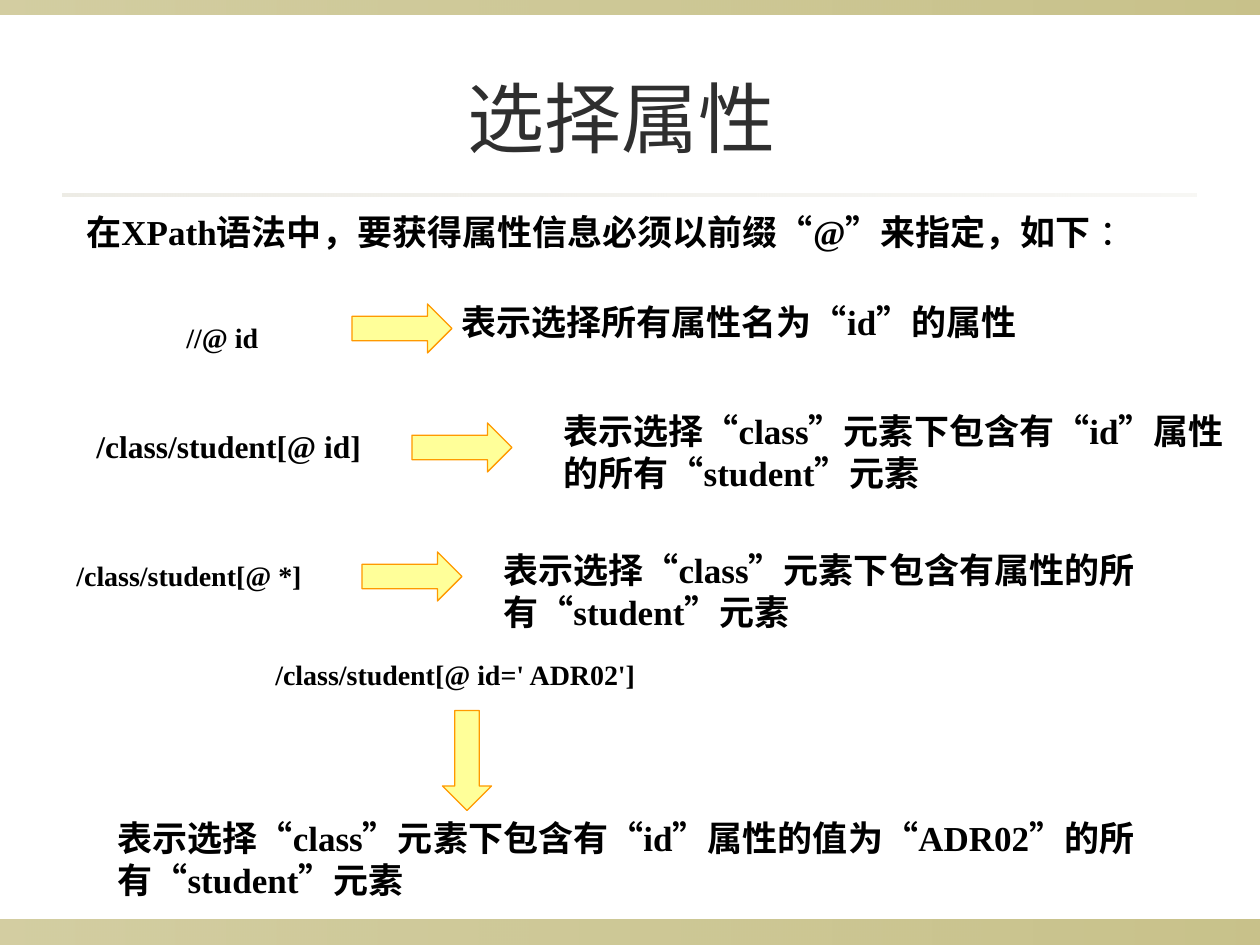
from dataclasses import dataclass

from lxml.etree import SubElement
from pptx import Presentation
from pptx.dml.color import RGBColor
from pptx.enum.lang import MSO_LANGUAGE_ID
from pptx.enum.shapes import MSO_SHAPE
from pptx.enum.text import MSO_ANCHOR, MSO_AUTO_SIZE, PP_ALIGN
from pptx.oxml.ns import qn
from pptx.util import Emu, Pt


@dataclass(frozen=True)
class Theme:
    title: str = "2F2F2F"
    text: str = "000000"
    band: str = "918415"
    rule: str = "DCD9CC"
    arrow_fill: str = "FFFF99"
    arrow_line: str = "FF9900"
    title_font: str = "Roboto"
    text_font: str = "Times New Roman"
    title_size: int = 44
    body_size: int = 20
    code_size: int = 18
    small_code_size: int = 16


@dataclass(frozen=True)
class Band:
    box: tuple[int, int, int, int]
    color: str
    opacity: tuple[int, int]


@dataclass(frozen=True)
class Label:
    text: str
    box: tuple[int, int, int, int]
    size: int
    wrap: bool = True
    light_tail: str = ""


@dataclass(frozen=True)
class Arrow:
    x: int
    y: int
    rotation: int = 0


THEME = Theme()
ARROW_SIZE = (100, 49)

BANDS = [
    Band((0, 920, 1260, 25), THEME.band, (40, 50)),
    Band((0, 0, 1260, 15), THEME.band, (40, 50)),
    Band((63, 194, 1134, 3), THEME.rule, (50, 20)),
]

LABELS = [
    Label("在XPath语法中，要获得属性信息必须以前缀“@”来指定，如下",
          (74, 204, 1160, 55), THEME.body_size, light_tail=" ："),
    Label("//@ id", (174, 314, 97, 47), THEME.small_code_size, wrap=False),
    Label("表示选择所有属性名为“id”的属性", (449, 294, 601, 55), THEME.body_size, wrap=False),
    Label("/class/student[@ id]", (84, 421, 297, 50), THEME.code_size),
    Label("表示选择“class”元素下包含有“id”属性的所有“student”元素",
          (551, 403, 709, 97), THEME.body_size),
    Label("/class/student[@ *]", (64, 552, 397, 47), THEME.small_code_size),
    Label("表示选择“class”元素下包含有属性的所有“student”元素",
          (491, 542, 769, 97), THEME.body_size),
    Label("/class/student[@ id=' ADR02']", (263, 651, 427, 47), THEME.small_code_size),
    Label("表示选择“class”元素下包含有“id”属性的值为“ADR02”的所有“student”元素",
          (105, 810, 1101, 97), THEME.body_size),
]

ARROWS = [Arrow(352, 304), Arrow(412, 423), Arrow(362, 552), Arrow(417, 736, rotation=90)]


def px(n: int) -> Emu:
    return Emu(round(n * 914400 / 126))


def place(box: tuple[int, int, int, int]) -> list[Emu]:
    return [px(n) for n in box]


def add_run(p, text: str, font: str, size: int, color: str, bold: bool) -> None:
    r = p.add_run()
    r.text = text
    r.font.name = font
    r.font.size = Pt(size)
    r.font.bold = bold
    r.font.color.rgb = RGBColor.from_string(color)
    r.font.language_id = MSO_LANGUAGE_ID.SIMPLIFIED_CHINESE


def add_band(s, band: Band) -> None:
    sp = s.shapes.add_shape(MSO_SHAPE.RECTANGLE, *place(band.box))
    sp.shadow.inherit = False
    sp.line.fill.background()
    sp.fill.gradient()
    sp.fill.gradient_angle = 0
    for stop in sp.fill.gradient_stops:
        stop.color.rgb = RGBColor.from_string(band.color)
    colors = sp._element.spPr.iter(qn("a:srgbClr"))
    for color, opacity in zip(list(colors), band.opacity):
        SubElement(color, qn("a:alpha")).set("val", str(opacity * 1000))


def add_title(s, text: str) -> None:
    sp = s.shapes.title
    sp.left, sp.top, sp.width, sp.height = place((63, 38, 1134, 157))
    tf = sp.text_frame
    tf.vertical_anchor = MSO_ANCHOR.MIDDLE
    p = tf.paragraphs[0]
    p.alignment = PP_ALIGN.CENTER
    add_run(p, text, THEME.title_font, THEME.title_size, THEME.title, False)


def add_label(s, label: Label) -> None:
    tf = s.shapes.add_textbox(*place(label.box)).text_frame
    tf.word_wrap = label.wrap
    tf.auto_size = MSO_AUTO_SIZE.SHAPE_TO_FIT_TEXT
    tf.vertical_anchor = MSO_ANCHOR.MIDDLE
    p = tf.paragraphs[0]
    add_run(p, label.text, THEME.text_font, label.size, THEME.text, True)
    if label.light_tail:
        add_run(p, label.light_tail, THEME.text_font, label.size, THEME.text, False)


def add_arrow(s, arrow: Arrow) -> None:
    sp = s.shapes.add_shape(MSO_SHAPE.RIGHT_ARROW, *place((arrow.x, arrow.y, *ARROW_SIZE)))
    sp.rotation = arrow.rotation
    sp.shadow.inherit = False
    sp.fill.solid()
    sp.fill.fore_color.rgb = RGBColor.from_string(THEME.arrow_fill)
    sp.line.color.rgb = RGBColor.from_string(THEME.arrow_line)
    sp.line.width = Pt(0.75)


prs = Presentation()
prs.slide_width, prs.slide_height = px(1260), px(945)
s = prs.slides.add_slide(prs.slide_layouts[5])

# Edge bands and the rule under the title
for band in BANDS:
    add_band(s, band)

# Title; its closing space takes part in the centring
add_title(s, "选择属性 ")

# Expressions and their meanings
for label in LABELS:
    add_label(s, label)

# Arrows from expression to meaning
for arrow in ARROWS:
    add_arrow(s, arrow)

prs.save("out.pptx")
